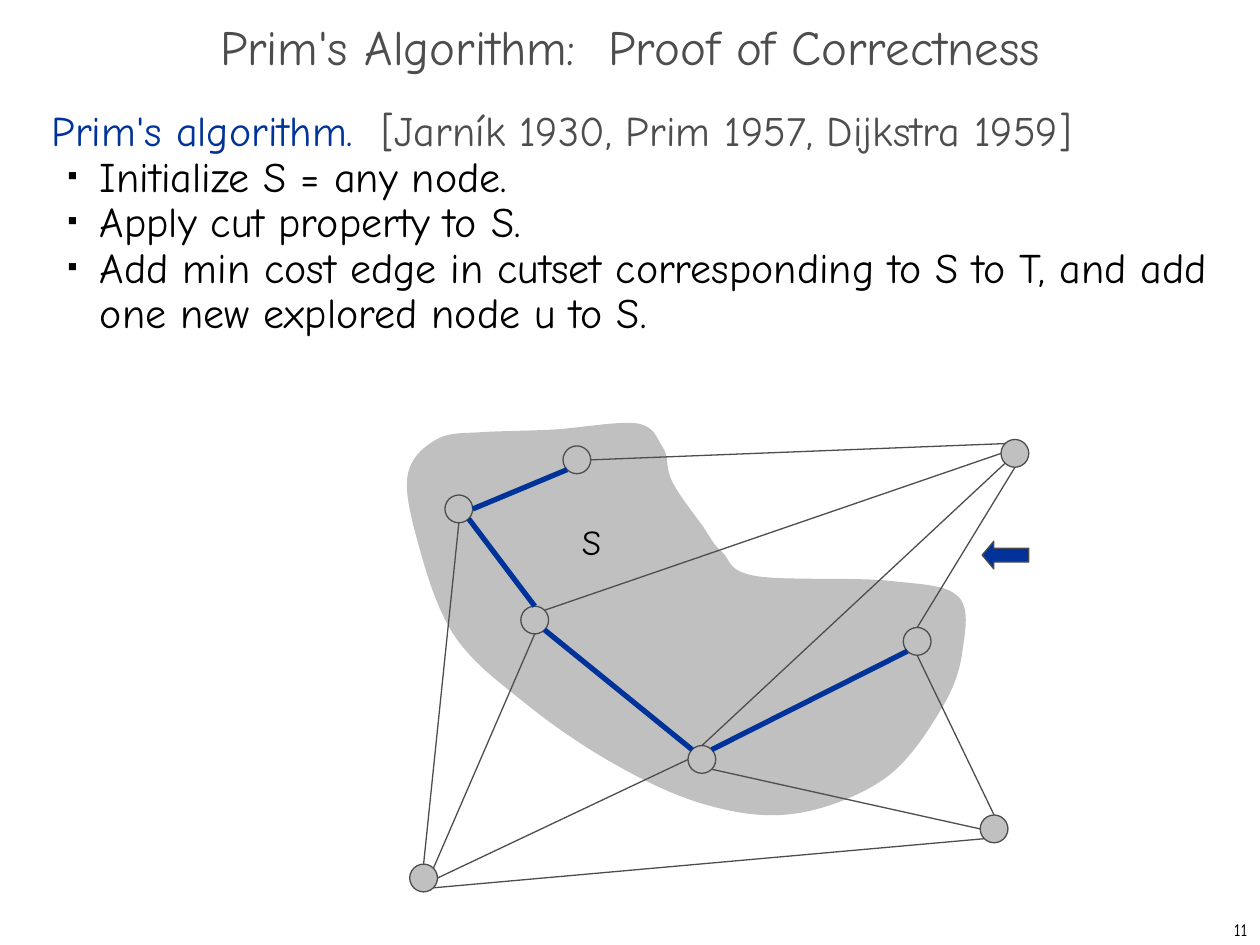
from dataclasses import dataclass
from math import cos, radians, sin

from lxml.etree import SubElement
from pptx import Presentation
from pptx.dml.color import RGBColor
from pptx.enum.shapes import MSO_CONNECTOR as Connector, MSO_SHAPE as Preset
from pptx.enum.text import MSO_ANCHOR as Anchor, MSO_AUTO_SIZE as AutoSize, PP_ALIGN as Align
from pptx.oxml.ns import qn
from pptx.util import Cm, Pt


@dataclass(frozen=True)
class Theme:
    font: str = "Comic Neue"
    gray: RGBColor = RGBColor.from_string("4D4D4D")
    silver: RGBColor = RGBColor.from_string("C0C0C0")
    blue: RGBColor = RGBColor.from_string("003399")
    black: RGBColor = RGBColor.from_string("000000")
    title: int = 28
    body: int = 24
    label: int = 20
    number: int = 10
    thin: float = 0.75
    thick: float = 3


THEME = Theme()
RADIUS = 0.28
COMPASS = ["E", "SE", "S", "SW", "W", "NW", "N", "NE"]

# Node centres in cm
NODES = {
    "a": (9.25, 10.26), "b": (11.63, 9.27), "c": (10.78, 12.5), "d": (20.46, 9.14),
    "e": (18.49, 12.93), "f": (8.54, 17.7), "g": (14.15, 15.31), "h": (20.04, 16.71),
}
TREE_EDGES = ["a E b SW", "a SE c N", "c SE g NW", "g NE e SW"]
OTHER_EDGES = [
    "a S f N", "c NE d W", "e N d S", "g SE h W", "e S h N",
    "d SW g N", "c S f NE", "f E g W", "b E d NW", "f SE h SW",
]

# Points on the cut outline, in hundredths of an inch
CUT_UNIT = Cm(0.0254)
CUT_POINTS = [
    (348, 348), (382, 343), (438, 341), (505, 336), (526, 355), (533, 381), (558, 418),
    (573, 438), (599, 457), (706, 461), (760, 473), (764, 516), (748, 561), (702, 618),
    (629, 646), (558, 638), (487, 606), (418, 559), (361, 505), (331, 428), (324, 375),
]


def place(shape, left, top, width, height):
    shape.left, shape.top, shape.width, shape.height = map(Cm, (left, top, width, height))


def add_span(para, text, size, color):
    span = para.add_run()
    span.text = text
    span.font.name = THEME.font
    span.font.size = Pt(size)
    span.font.color.rgb = color


def paint(shape, fill, outlined=True):
    shape.shadow.inherit = False
    shape.fill.solid()
    shape.fill.fore_color.rgb = fill
    if outlined:
        shape.line.color.rgb = THEME.gray
        shape.line.width = Pt(THEME.thin)
    else:
        shape.line.fill.background()


def format_title(title):
    place(title, 0, 0.43, 25.4, 1.27)
    title.text_frame.auto_size = AutoSize.NONE
    title.text_frame.vertical_anchor = Anchor.MIDDLE
    para = title.text_frame.paragraphs[0]
    para.alignment = Align.CENTER
    para.line_spacing = 0.7
    add_span(para, "Prim's Algorithm:  Proof of Correctness", THEME.title, THEME.gray)


def set_body_paragraph(para, bulleted):
    para.line_spacing = Pt(26)
    para.space_before = Pt(0)
    props = para._p.get_or_add_pPr()
    props.set("marL", str(Cm(0.97) if bulleted else 0))
    props.set("indent", str(Cm(-0.64) if bulleted else 0))
    if not bulleted:
        SubElement(props, qn("a:buNone"))
        return
    para.level = 1
    color = SubElement(props, qn("a:buClr"))
    SubElement(color, qn("a:srgbClr"), val=str(THEME.black))
    SubElement(props, qn("a:buSzPct"), val="35000")
    SubElement(props, qn("a:buChar"), char="■")


def format_body(body):
    place(body, 0.79, 2.08, 23.85, 15.95)
    frame = body.text_frame
    frame.auto_size = AutoSize.NONE
    heading = frame.paragraphs[0]
    set_body_paragraph(heading, bulleted=False)
    add_span(heading, "Prim's algorithm.  ", THEME.body, THEME.blue)
    add_span(heading, "[Jarník 1930, Prim 1957, Dijkstra 1959]", THEME.body, THEME.gray)
    for step in (
        "Initialize S = any node.",
        "Apply cut property to S.",
        "Add min cost edge in cutset corresponding to S to T, "
        "and add one new explored node u to S.",
    ):
        para = frame.add_paragraph()
        set_body_paragraph(para, bulleted=True)
        add_span(para, step, THEME.body, THEME.black)


def add_label(page, text, area, size, align=Align.LEFT, anchor=Anchor.TOP):
    box = page.shapes.add_textbox(*map(Cm, area))
    box.text_frame.word_wrap = False
    box.text_frame.vertical_anchor = anchor
    para = box.text_frame.paragraphs[0]
    para.alignment = align
    add_span(para, text, size, THEME.black)


def smooth_controls(points):
    """Yield two control points and an end for each span of a closed Catmull-Rom curve."""
    count = len(points)
    for i in range(count):
        before, start, end, after = (points[(i + k) % count] for k in (-1, 0, 1, 2))
        yield tuple(s + (e - b) / 6 for b, s, e in zip(before, start, end))
        yield tuple(e - (a - s) / 6 for s, e, a in zip(start, end, after))
        yield end


def add_cut(page):
    """Draw the cut S, merging each three segments into one cubic curve."""
    builder = page.shapes.build_freeform(*CUT_POINTS[0], scale=CUT_UNIT)
    builder.add_line_segments(list(smooth_controls(CUT_POINTS)), close=True)
    cut = builder.convert_to_shape()
    paint(cut, THEME.silver, outlined=False)
    outline = next(cut._element.iter(qn("a:path")))
    segments = outline.findall(qn("a:lnTo"))
    for first, second, third in zip(segments[::3], segments[1::3], segments[2::3]):
        first.tag = qn("a:cubicBezTo")
        for segment in (second, third):
            first.append(segment[0])
            outline.remove(segment)


def add_node(page, x, y):
    node = page.shapes.add_shape(
        Preset.OVAL, Cm(x - RADIUS), Cm(y - RADIUS), Cm(2 * RADIUS), Cm(2 * RADIUS))
    paint(node, THEME.silver)


def rim_point(name, side):
    x, y = NODES[name]
    angle = radians(45 * COMPASS.index(side))
    return Cm(x + RADIUS * cos(angle)), Cm(y + RADIUS * sin(angle))


def add_edge(page, edge, color, width):
    """Join two nodes; edge reads 'node side node side'."""
    start, start_side, end, end_side = edge.split()
    line = page.shapes.add_connector(
        Connector.STRAIGHT, *rim_point(start, start_side), *rim_point(end, end_side))
    line.line.color.rgb = color
    line.line.width = Pt(width)
    SubElement(line._element.spPr, qn("a:effectLst"))


def add_pointer(page):
    pointer = page.shapes.add_shape(Preset.UP_ARROW, Cm(19.99), Cm(10.72), Cm(0.56), Cm(0.94))
    pointer.rotation = 270
    pointer.adjustments[0] = 0.5
    pointer.adjustments[1] = 0.42
    paint(pointer, THEME.blue)


def main():
    deck = Presentation()
    deck.slide_width, deck.slide_height = Cm(25.4), Cm(19.05)
    page = deck.slides.add_slide(deck.slide_layouts[1])
    format_title(page.shapes.title)
    format_body(page.placeholders[1])
    add_label(page, "11", (20.12, 18.42, 5.28, 0.64), THEME.number, Align.RIGHT, Anchor.MIDDLE)
    add_cut(page)
    for center in NODES.values():
        add_node(page, *center)
    for edge in TREE_EDGES:
        add_edge(page, edge, THEME.blue, THEME.thick)
    for edge in OTHER_EDGES:
        add_edge(page, edge, THEME.gray, THEME.thin)
    add_pointer(page)
    add_label(page, "S", (11.48, 10.36, 0.91, 1.09), THEME.label)
    deck.save("out.pptx")


if __name__ == "__main__":
    main()
